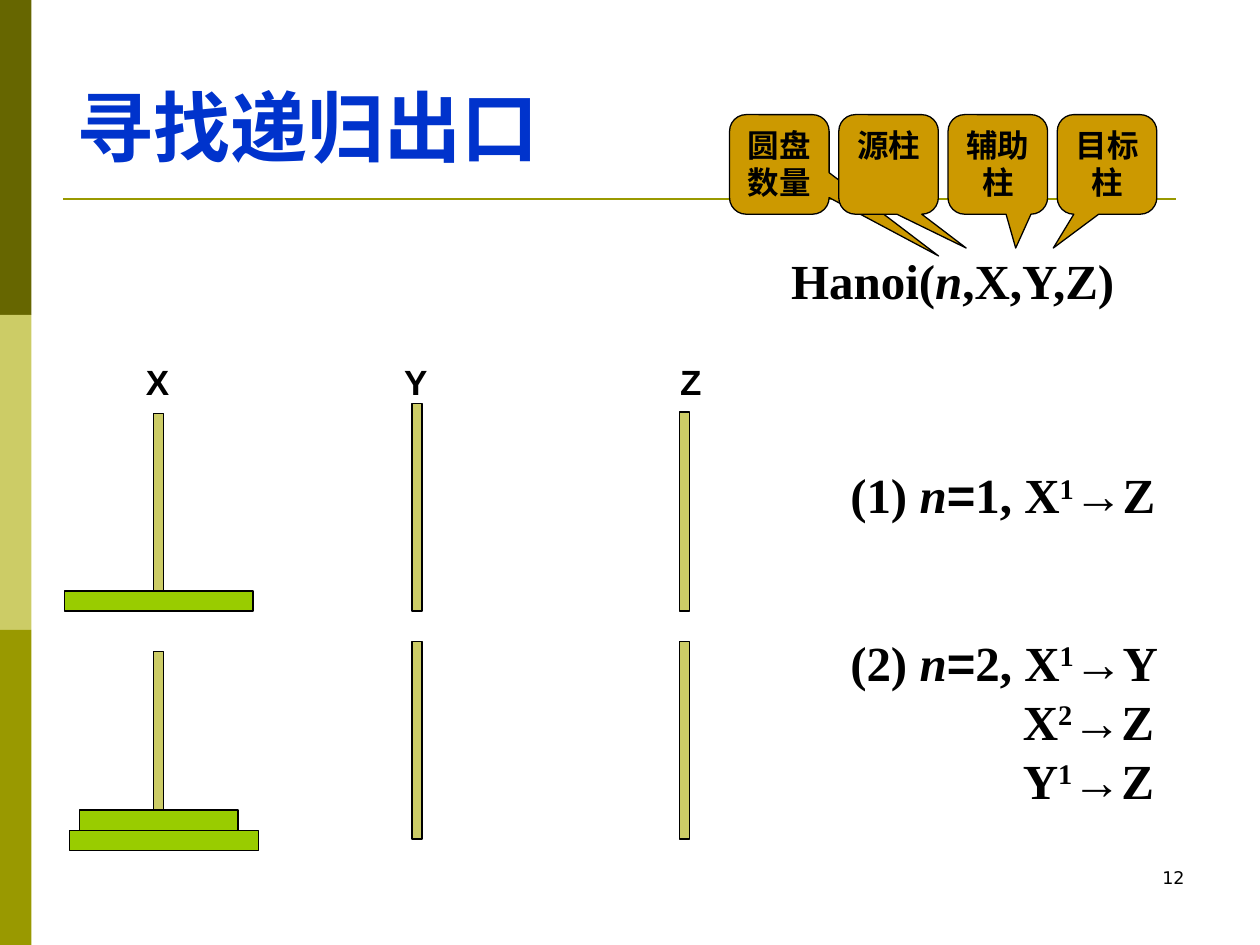
import pptx
import pptx.util
import pptx.dml.color
import pptx.enum.shapes
import pptx.enum.text
import pptx.oxml
from dataclasses import dataclass

Inches = pptx.util.Inches
Shape = pptx.enum.shapes.MSO_SHAPE
Align = pptx.enum.text.PP_ALIGN
Anchor = pptx.enum.text.MSO_ANCHOR


@dataclass(frozen=True)
class Theme:
    dark: str = "666600"
    light: str = "CCCC66"
    olive: str = "999900"
    disc: str = "99CC00"
    callout: str = "CC9900"
    title: str = "0033CC"
    ink: str = "000000"
    serif: str = "Times New Roman"
    sans: str = "Arial"
    number: str = "DejaVu Sans"
    title_size: float = 44
    formula_size: float = 28
    label_size: float = 20
    callout_size: float = 18
    number_size: float = 10
    outline: float = 0.75
    rule: float = 1.5


THEME = Theme()


def rgb(value):
    return pptx.dml.color.RGBColor.from_string(value)


def add_span(para, text, size, font, color=THEME.ink, bold=True, italic=False, raised=False):
    span = para.add_run()
    span.text = text
    span.font.size = pptx.util.Pt(size)
    span.font.name = font
    span.font.bold = bold
    span.font.italic = italic
    span.font.color.rgb = rgb(color)
    if raised:
        span.font._element.set("baseline", "30000")


def add_shape(page, kind, left, top, width, height, fill, outlined=True):
    shape = page.shapes.add_shape(kind, Inches(left), Inches(top), Inches(width), Inches(height))
    shape.shadow.inherit = False
    shape.fill.solid()
    shape.fill.fore_color.rgb = rgb(fill)
    if outlined:
        shape.line.color.rgb = rgb(THEME.ink)
        shape.line.width = pptx.util.Pt(THEME.outline)
    else:
        shape.line.fill.background()
    return shape


def add_text_box(page, left, top, width, height):
    box = page.shapes.add_textbox(Inches(left), Inches(top), Inches(width), Inches(height))
    box.text_frame.word_wrap = True
    return box.text_frame


def draw_side_band(page, left, top, width, height):
    colors = [THEME.dark, THEME.light, THEME.olive]
    step = height / len(colors)
    for index, color in enumerate(colors):
        add_shape(page, Shape.RECTANGLE, left, top + index * step, width, step, color, False)


def draw_rule(page, left, top, width):
    rule = page.shapes.add_connector(
        pptx.enum.shapes.MSO_CONNECTOR.STRAIGHT,
        Inches(left), Inches(top), Inches(left + width), Inches(top))
    rule.line.color.rgb = rgb(THEME.olive)
    rule.line.width = pptx.util.Pt(THEME.rule)
    rule._element.spPr.append(pptx.oxml.parse_xml(
        '<a:effectLst xmlns:a="http://schemas.openxmlformats.org/drawingml/2006/main"/>'))


def draw_title(page, text, left, top, width, height):
    title = page.shapes.title
    title.left, title.top = Inches(left), Inches(top)
    title.width, title.height = Inches(width), Inches(height)
    title.text_frame.vertical_anchor = Anchor.MIDDLE
    para = title.text_frame.paragraphs[0]
    para.alignment = Align.LEFT
    add_span(para, text, THEME.title_size, THEME.serif, THEME.title)


def draw_towers(page, left, bottom, pegs, discs):
    for offset, peg_top, peg_bottom in pegs:
        add_shape(page, Shape.RECTANGLE, left + offset, peg_top, 0.08,
                  peg_bottom - peg_top, THEME.light)
    thickness = 0.16
    for level, (offset, width) in enumerate(discs, 1):
        add_shape(page, Shape.RECTANGLE, left + offset, bottom - level * thickness,
                  width, thickness, THEME.disc)


def draw_peg_labels(page, left, top, labels):
    for name, offset in labels:
        frame = add_text_box(page, left + offset, top, 0.4, 0.44)
        add_span(frame.paragraphs[0], name, THEME.label_size, THEME.sans)


def draw_callouts(page, left, top, size, pitch):
    callouts = [
        ("圆盘数量", 1.6, 0.92),
        ("源柱", 0.78, 0.84),
        ("辅助柱", 0.18, 0.84),
        ("目标柱", -0.54, 0.84),
    ]
    for index, (text, tip_x, tip_y) in enumerate(callouts):
        callout = add_shape(page, Shape.ROUNDED_RECTANGULAR_CALLOUT,
                            left + index * pitch, top, size, size, THEME.callout)
        callout.adjustments[0] = tip_x
        callout.adjustments[1] = tip_y
        callout.text_frame.word_wrap = True
        callout.text_frame.vertical_anchor = Anchor.TOP
        para = callout.text_frame.paragraphs[0]
        para.alignment = Align.CENTER
        add_span(para, text, THEME.callout_size, THEME.sans)


def draw_signature(page, left, top, width, height):
    para = add_text_box(page, left, top, width, height).paragraphs[0]
    for text, italic in [("Hanoi(", False), ("n", True), (",X,Y,Z)", False)]:
        add_span(para, text, THEME.formula_size, THEME.serif, italic=italic)


def draw_case(page, left, top, width, height, number, moves):
    frame = add_text_box(page, left, top, width, height)
    size = THEME.formula_size
    for index, (source, disc, target) in enumerate(moves):
        if index == 0:
            para = frame.paragraphs[0]
            add_span(para, f"({number}) ", size, THEME.serif)
            add_span(para, "n", size, THEME.serif, italic=True)
            add_span(para, "=", size, THEME.sans)
            add_span(para, f"{number}, {source}", size, THEME.serif)
        else:
            para = frame.add_paragraph()
            para._p.get_or_add_pPr().set("marL", str(Inches(1.37)))
            add_span(para, source, size, THEME.serif)
        add_span(para, disc, size, THEME.serif, raised=True)
        add_span(para, "→", size, THEME.sans)
        add_span(para, target, size, THEME.serif)


def draw_page_number(page, text, left, top, width, height):
    para = add_text_box(page, left, top, width, height).paragraphs[0]
    para.alignment = Align.RIGHT
    add_span(para, text, THEME.number_size, THEME.number, bold=False)


def main():
    deck = pptx.Presentation()
    deck.slide_width, deck.slide_height = Inches(10), Inches(7.5)
    page = deck.slides.add_slide(deck.slide_layouts[5])
    draw_side_band(page, 0, 0, 0.25, 7.5)
    draw_rule(page, 0.5, 1.58, 8.83)
    draw_title(page, "寻找递归出口", 0.51, 0.25, 9, 1.5)
    draw_peg_labels(page, 0.51, 2.81, [("X", 0.55), ("Y", 2.6), ("Z", 4.79)])
    draw_towers(page, 0.51, 4.85,
                [(0.71, 3.28, 4.85), (2.76, 3.2, 4.85), (4.88, 3.27, 4.85)],
                [(0, 1.5)])
    draw_towers(page, 0.51, 6.75,
                [(0.71, 5.17, 6.74), (2.76, 5.09, 6.66), (4.88, 5.09, 6.66)],
                [(0.04, 1.5), (0.12, 1.26)])
    draw_callouts(page, 5.79, 0.91, 0.79, 0.867)
    draw_signature(page, 6.18, 1.94, 2.91, 0.57)
    draw_case(page, 6.65, 3.64, 2.76, 0.57, 1, [("X", "1", "Z")])
    draw_case(page, 6.65, 4.97, 2.87, 1.5, 2,
              [("X", "1", "Y"), ("X", "2", "Z"), ("Y", "1", "Z")])
    draw_page_number(page, "12", 7.17, 6.83, 2.33, 0.5)
    deck.save("out.pptx")


if __name__ == "__main__":
    main()
